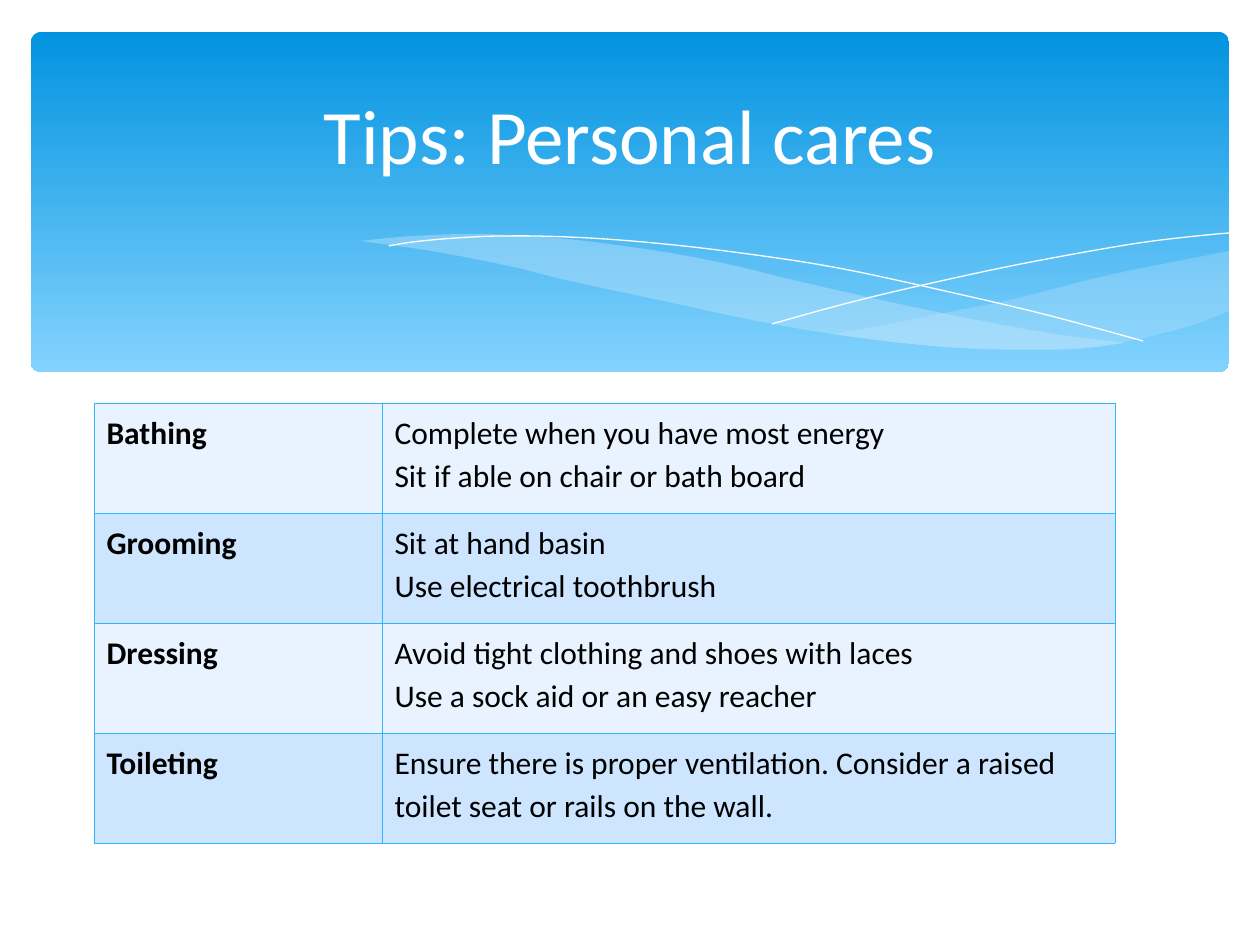
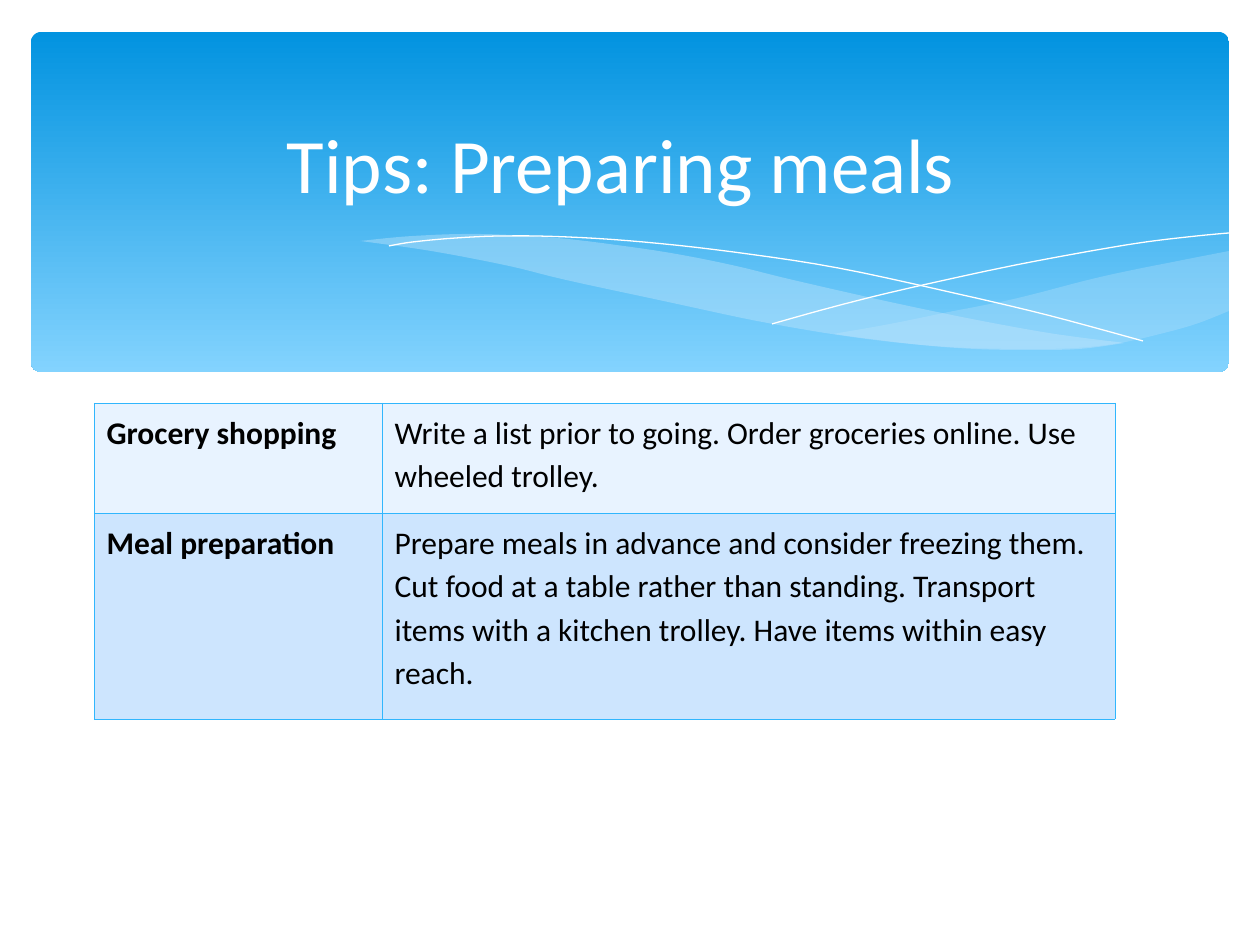
from lxml import etree
from pptx import Presentation
from pptx import util as u
from pptx.dml.color import RGBColor
from pptx.enum import shapes, text
from pptx.oxml.ns import qn

SLIDES = [
    {"title": "Tips: Personal cares", "title_at": (63, 47),
     "row_heights": [110, 110, 110, 110],
     "tips": [
         ("Bathing", ["Complete when you have most energy",
                      "Sit if able on chair or bath board"]),
         ("Grooming", ["Sit at hand basin", "Use electrical toothbrush"]),
         ("Dressing", ["Avoid tight clothing and shoes with laces",
                       "Use a sock aid or an easy reacher"]),
         ("Toileting", ["Ensure there is proper ventilation. Consider a raised "
                        "toilet seat or rails on the wall."]),
     ]},
    {"title": "Tips: Preparing meals", "title_at": (54, 76),
     "row_heights": [110, 206],
     "tips": [
         ("Grocery shopping", ["Write a list prior to going. Order groceries online. "
                               "Use wheeled trolley."]),
         ("Meal preparation", ["Prepare meals in advance and consider freezing them. "
                               "Cut food at a table rather than standing. Transport "
                               "items with a kitchen trolley. Have items within easy "
                               "reach."]),
     ]},
]

# Each wave: opacity in percent, then its upper and lower edges
WAVES = [
    (29,
     [(1229, 251), (1178, 261), (1123, 272), (1084, 281), (1014, 299), (949, 312),
      (890, 324), (833, 334)],
     [(833, 334), (871, 339), (922, 345), (969, 348), (1026, 349), (1076, 348),
      (1120, 343), (1160, 334), (1196, 324), (1229, 311)]),
    (40,
     [(1125, 343), (1055, 334), (977, 320), (890, 302), (793, 280), (736, 266),
      (682, 255), (631, 247), (557, 238), (479, 234), (413, 236), (360, 241)],
     [(360, 241), (431, 251), (509, 266), (566, 280), (668, 302), (757, 321),
      (838, 335), (910, 344), (974, 349), (1031, 350), (1080, 349), (1125, 343)]),
]
STRANDS = [
    [(389, 246), (413, 242), (457, 238), (505, 236), (567, 237), (643, 242),
     (733, 252), (838, 268), (958, 294), (1047, 315), (1143, 341)],
    [(772, 324), (822, 310), (876, 296), (941, 281), (1016, 265), (1091, 251),
     (1146, 242), (1197, 236), (1229, 233)],
]

FONT = "Calibri"
WHITE, BLACK = "FFFFFF", "000000"
BAND_TOP, BAND_BOTTOM, WAVE = "0293E0", "83D3FE", "C6E7FC"
ROW_FILLS, BORDER = ("E8F3FF", "CDE5FE"), "31B6FD"

BAND = (31, 32, 1198, 340)
TITLE_SIZE = (1134, 173)
TABLE_AT = (94, 403)
COLUMNS = (288, 733)


def px(length):
    return u.Emu(round(length * 914400 / 126))


def color(code):
    return RGBColor.from_string(code)


def set_font(paragraph, size, code, bold=False):
    font = paragraph.font
    font.name, font.size, font.bold = FONT, u.Pt(size), bold
    font.color.rgb = color(code)


def smooth(points, steps=5):
    """Return a Catmull-Rom curve through the points."""
    padded = [points[0], *points, points[-1]]
    curve = [points[0]]
    for a, b, c, d in zip(padded, padded[1:], padded[2:], padded[3:]):
        for step in range(1, steps + 1):
            t = step / steps
            curve.append(tuple(
                (2 * q + (r - p) * t + (2 * p - 5 * q + 4 * r - s) * t ** 2
                 + (3 * q - p - 3 * r + s) * t ** 3) / 2
                for p, q, r, s in zip(a, b, c, d)))
    return curve


def add_outline(slide, points, close):
    corners = [(px(x), px(y)) for x, y in points]
    builder = slide.shapes.build_freeform(*corners[0])
    builder.add_line_segments(corners[1:], close=close)
    outline = builder.convert_to_shape()
    outline.shadow.inherit = False
    return outline


def add_band(slide):
    band = slide.shapes.add_shape(shapes.MSO_SHAPE.ROUNDED_RECTANGLE, *map(px, BAND))
    band.adjustments[0] = 0.03
    band.shadow.inherit = False
    band.line.fill.background()
    band.fill.gradient()
    band.fill.gradient_angle = 270
    for stop, code in zip(band.fill.gradient_stops, (BAND_TOP, BAND_BOTTOM)):
        stop.color.rgb = color(code)

    for opacity, upper, lower in WAVES:
        wave = add_outline(slide, smooth(upper) + smooth(lower), close=True)
        wave.line.fill.background()
        wave.fill.solid()
        wave.fill.fore_color.rgb = color(WAVE)
        tint = wave.fill._xPr.find(qn("a:solidFill"))[0]
        etree.SubElement(tint, qn("a:alpha"), val=str(opacity * 1000))
    for points in STRANDS:
        strand = add_outline(slide, smooth(points), close=False)
        strand.fill.background()
        strand.line.color.rgb = color(WHITE)
        strand.line.width = u.Pt(0.75)


def add_title(slide, title, position):
    box = slide.shapes.add_textbox(*map(px, position + TITLE_SIZE))
    frame = box.text_frame
    frame.word_wrap = True
    frame.vertical_anchor = text.MSO_ANCHOR.MIDDLE
    para = frame.paragraphs[0]
    para.text = title
    para.alignment = text.PP_ALIGN.CENTER
    set_font(para, 44, WHITE)


def add_borders(cell):
    properties = cell._tc.get_or_add_tcPr()
    for index, side in enumerate(("lnL", "lnR", "lnT", "lnB")):
        line = etree.Element(qn(f"a:{side}"), w=str(u.Pt(0.23)))
        fill = etree.SubElement(line, qn("a:solidFill"))
        etree.SubElement(fill, qn("a:srgbClr"), val=BORDER)
        properties.insert(index, line)


def fill_cell(cell, lines, fill, bold):
    cell.fill.solid()
    cell.fill.fore_color.rgb = color(fill)
    add_borders(cell)
    cell.text = "\n".join(lines)
    for para in cell.text_frame.paragraphs:
        para.line_spacing = 1.13
        set_font(para, 18, BLACK, bold)


def add_tips(slide, tips, heights):
    size = (sum(COLUMNS), sum(heights))
    frame = slide.shapes.add_table(len(tips), len(COLUMNS), *map(px, TABLE_AT + size))
    table = frame.table
    table.first_row = table.horz_banding = False
    for column, width in zip(table.columns, COLUMNS):
        column.width = px(width)
    for index, (activity, advice) in enumerate(tips):
        table.rows[index].height = px(heights[index])
        fill = ROW_FILLS[index % 2]
        fill_cell(table.cell(index, 0), [activity], fill, bold=True)
        fill_cell(table.cell(index, 1), advice, fill, bold=False)


def main():
    deck = Presentation()
    deck.slide_width, deck.slide_height = px(1260), px(945)
    for page in SLIDES:
        slide = deck.slides.add_slide(deck.slide_layouts[6])
        add_band(slide)
        add_title(slide, page["title"], page["title_at"])
        add_tips(slide, page["tips"], page["row_heights"])
    deck.save("out.pptx")


if __name__ == "__main__":
    main()
